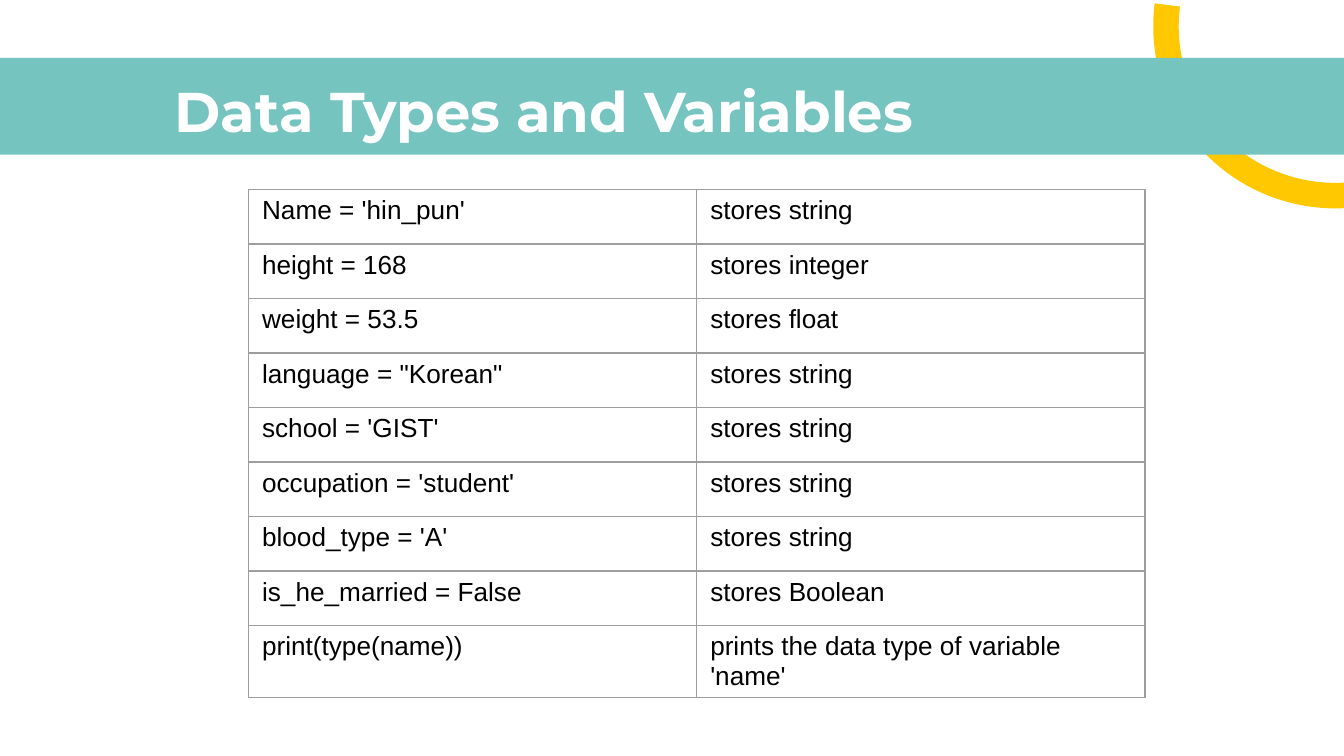
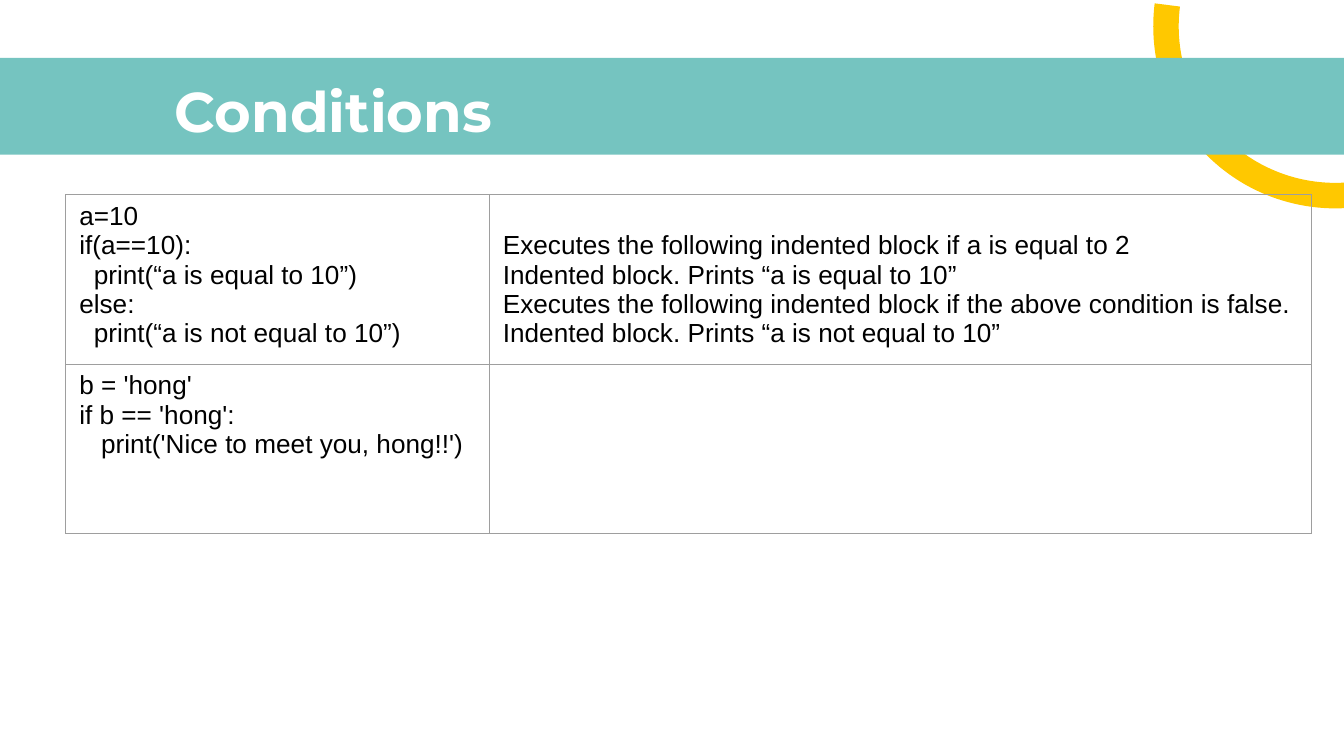
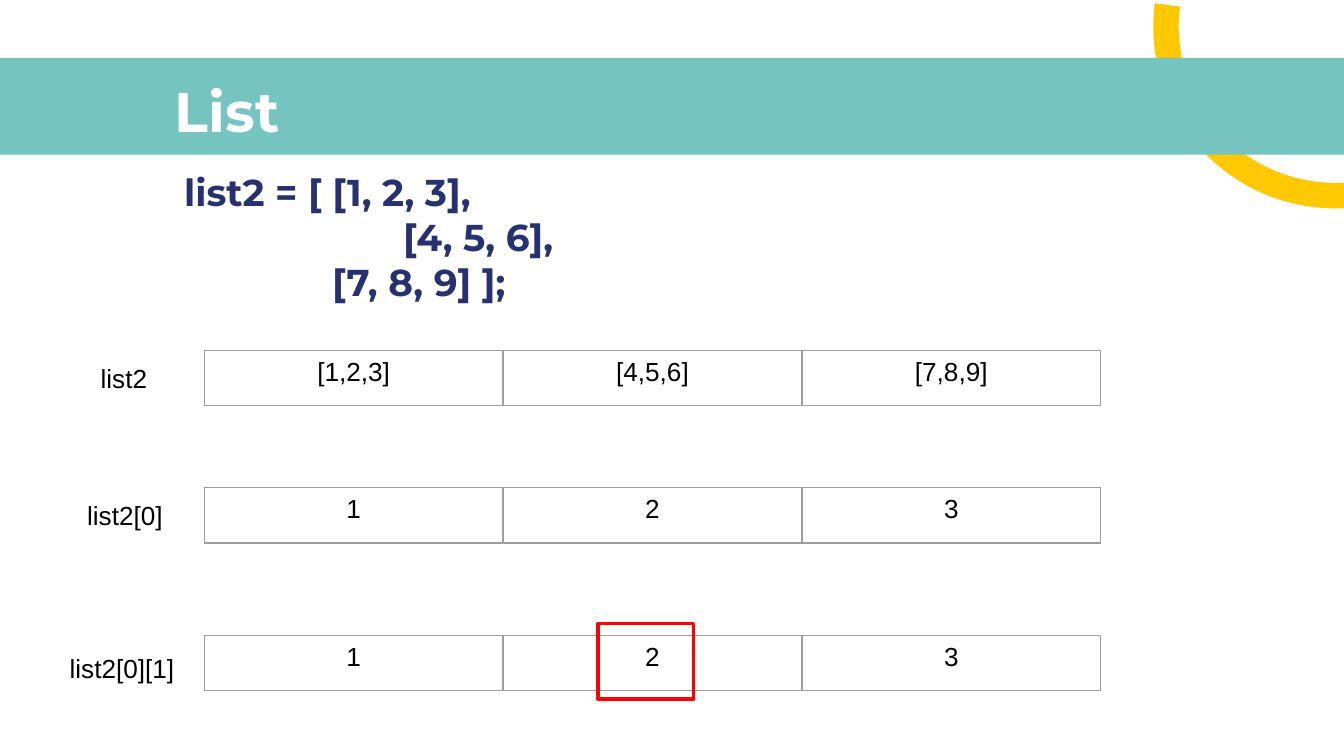
from lxml import etree
from pptx import Presentation
from pptx.dml.color import RGBColor
from pptx.enum.shapes import MSO_SHAPE
from pptx.enum.text import MSO_ANCHOR, MSO_AUTO_SIZE, PP_ALIGN
from pptx.oxml.ns import qn
from pptx.util import Inches, Pt

ARC, RECT = MSO_SHAPE.BLOCK_ARC, MSO_SHAPE.RECTANGLE
LEFT, CENTER = PP_ALIGN.LEFT, PP_ALIGN.CENTER
TOP, MIDDLE = MSO_ANCHOR.TOP, MSO_ANCHOR.MIDDLE
FIXED = MSO_AUTO_SIZE.NONE

COLORS = {
    "band": "75C4C0", "sun": "FFC800", "moon": "EEEEEE", "title": "FFFFFF",
    "code": "27316F", "text": "000000", "rule": "9E9E9E", "mark": "FF0000",
}
HEAD, BODY = "Montserrat", "Arial"

# The grid has 100 columns and 56.25 rows of square cells
COLS, ROWS = 100, 56.25
UNIT = Inches(10) // COLS
ONLY, LIST = 5, 1  # layouts: title only, title and body


def grid(*cells):
    return [round(n * UNIT) for n in cells]


def color(name):
    return RGBColor.from_string(COLORS[name])


def write(frame, text, size=14, font=BODY, tint="text", bold=False,
          align=LEFT, indent=None):
    """Fill a text frame, one paragraph for each line of text."""
    for i, line in enumerate(text.split("\n")):
        para = frame.add_paragraph() if i else frame.paragraphs[0]
        if indent is not None:
            props = para._p.get_or_add_pPr()
            for key, cells in (("marL", indent), ("indent", 0), ("defTabSz", 10)):
                props.set(key, str(cells * UNIT))
            etree.SubElement(props, qn("a:buNone"))
        para.alignment = align
        para.space_before = Pt(0)
        run = para.add_run()
        run.text = line
        run.font.name, run.font.size, run.font.bold = font, Pt(size), bold
        run.font.color.rgb = color(tint)


class Deck:
    def __init__(self):
        self.file = Presentation()
        self.file.slide_width, self.file.slide_height = grid(COLS, ROWS)
        self.slide = None

    def page(self, title, layout=ONLY):
        """Start a slide with its rings, band and title."""
        self.slide = self.file.slides.add_slide(self.file.slide_layouts[layout])
        self.shape(ARC, (85.8, -11.6, 27.1, 27.1), "sun", 180, (159.04, 7.23, 0.07))
        self.shape(RECT, (-1.7, 4.3, 103.4, 7.2), "band")
        self.shape(ARC, (-16.3, 45.1, 26.1, 26.1), "moon", 74.3, (125.82, 166.85, 0.1))
        self.holder(0, title, (12, 4.7, 84.6, 6.3), size=30, tint="title")

    def shape(self, kind, box, fill=None, turn=0, arc=None, line=None):
        item = self.slide.shapes.add_shape(kind, *grid(*box))
        item.shadow.inherit = False
        item.rotation = turn
        if arc:
            start, end, thick = arc
            # Angles are stored as 60000 to the degree, on a scale of 100000
            for i, part in enumerate((start * 0.6, end * 0.6, thick)):
                item.adjustments[i] = part
        if fill:
            item.fill.solid()
            item.fill.fore_color.rgb = color(fill)
        else:
            item.fill.background()
        if line:
            item.line.color.rgb, item.line.width = color(line), Pt(2)
        else:
            item.line.fill.background()

    def holder(self, index, text, box, **style):
        """Place and fill a placeholder, in front of what is drawn so far."""
        item = self.slide.placeholders[index]
        item.left, item.top, item.width, item.height = grid(*box)
        item.element.getparent().append(item.element)
        frame = item.text_frame
        frame.word_wrap, frame.auto_size = True, FIXED
        frame.vertical_anchor = TOP
        frame.margin_left = frame.margin_right = UNIT
        frame.margin_top = frame.margin_bottom = UNIT
        write(frame, text, font=HEAD, bold=True, **style)

    def label(self, text, box):
        frame = self.slide.shapes.add_textbox(*grid(*box)).text_frame
        frame.word_wrap, frame.vertical_anchor = True, MIDDLE
        write(frame, text)

    def table(self, rows, box, shares=None, align=LEFT):
        """Draw a ruled table; shares are the parts of its width."""
        shares = shares or [1 / len(rows[0])] * len(rows[0])
        frame = self.slide.shapes.add_table(len(rows), len(shares), *grid(*box))
        table = frame.table
        table.first_row = table.horz_banding = False
        for col, share in zip(table.columns, shares):
            col.width = round(box[2] * share * UNIT)
        for r, row in enumerate(rows):
            for c, text in enumerate(row):
                cell = table.cell(r, c)
                self.rule(cell)
                cell.fill.background()
                if text:
                    write(cell.text_frame, text, align=align)
        return table

    def rule(self, cell):
        props = cell._tc.get_or_add_tcPr()
        for side in "LRTB":
            line = etree.SubElement(props, qn("a:ln" + side), w=str(Pt(0.75)))
            fill = etree.SubElement(line, qn("a:solidFill"))
            etree.SubElement(fill, qn("a:srgbClr"), val=COLORS["rule"])


TYPES = [
    ("Name = 'hin_pun'", "stores string"),
    ("height = 168", "stores integer"),
    ("weight = 53.5", "stores float"),
    ("language = \"Korean\"", "stores string"),
    ("school = 'GIST'", "stores string"),
    ("occupation = 'student'", "stores string"),
    ("blood_type = 'A'", "stores string"),
    ("is_he_married = False", "stores Boolean"),
    ("print(type(name))", "prints the data type of variable 'name'"),
]

TESTS = [
    ("""a=10
if(a==10):
  print(“a is equal to 10”)
else:
  print(“a is not equal to 10”)""",
     """Executes the following indented block if a is equal to 2
Indented block. Prints “a is equal to 10”
Executes the following indented block if the above condition is false.
Indented block. Prints “a is not equal to 10”"""),
    ("""b = 'hong'
if b == 'hong':
   print('Nice to meet you, hong!!')""", ""),
]

NESTED = """list2 = [ [1, 2, 3],
\t        [4, 5, 6],
              [7, 8, 9] ];"""

# Name, label box, table top and cells of each level of the list
LEVELS = [
    ("list2", (6.5, 26.4, 9.9, 3.4), 26.1, ("[1,2,3]", "[4,5,6]", "[7,8,9]")),
    ("list2[0]", (5.5, 36.6, 8, 3.4), 36.3, "123"),
    ("list2[0][1]", (4.2, 48, 15.4, 3.4), 47.3, "123"),
]


def main():
    deck = Deck()

    # Data types
    deck.page("Data Types and Variables")
    deck.table(TYPES, (18.5, 14.1, 66.7, 36.5))

    # Conditions: the notes start level with the second line of code
    deck.page("Conditions")
    tests = deck.table(TESTS, (4.9, 14.5, 92.7, 25.2), (0.34, 0.66))
    tests.cell(0, 1).margin_top = Inches(0.27)

    # Nested list
    deck.page("List", LIST)
    deck.holder(1, NESTED, (7.7, 11.6, 84.6, 5.5), size=20, tint="code", indent=5)
    for name, box, top, cells in LEVELS:
        deck.label(name, box)
        deck.table([cells], (15.2, top, 66.7, 4.1), align=CENTER)
    deck.shape(RECT, (44.5, 46.4, 7.1, 5.6), line="mark")

    deck.file.save("out.pptx")


if __name__ == "__main__":
    main()
